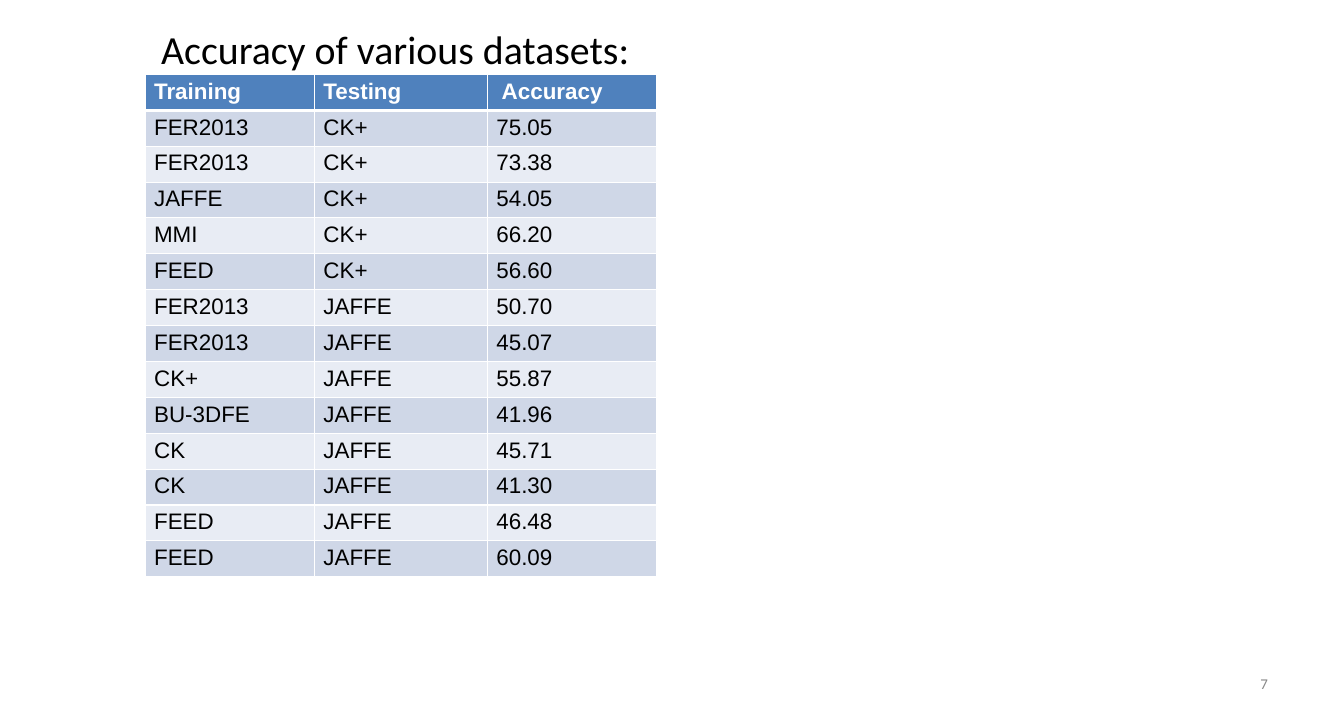
import pptx
import pptx.dml.color
import pptx.enum.text
import pptx.oxml
import pptx.oxml.ns
import pptx.util
from pptx.util import Inches

TITLE = "Accuracy of various datasets:"
PAGE_NUMBER = "7"
HEADER = ("Training", "Testing", " Accuracy")
RESULTS = [
    ("FER2013", "CK+", "75.05"),
    ("FER2013", "CK+", "73.38"),
    ("JAFFE", "CK+", "54.05"),
    ("MMI", "CK+", "66.20"),
    ("FEED", "CK+", "56.60"),
    ("FER2013", "JAFFE", "50.70"),
    ("FER2013", "JAFFE", "45.07"),
    ("CK+", "JAFFE", "55.87"),
    ("BU-3DFE", "JAFFE", "41.96"),
    ("CK", "JAFFE", "45.71"),
    ("CK", "JAFFE", "41.30"),
    ("FEED", "JAFFE", "46.48"),
    ("FEED", "JAFFE", "60.09"),
]
COLUMN_WIDTHS = (1.89, 1.93, 1.89)
ROW_HEIGHT = 0.38
HEADER_FILL = "4F81BD"
BAND_FILLS = ("E8ECF4", "CFD7E7")
WHITE, BLACK, GREY = "FFFFFF", "000000", "888888"
ALIGN = pptx.enum.text.PP_ALIGN


def color(hex_value):
    return pptx.dml.color.RGBColor.from_string(hex_value)


def write_text(frame, text, size, font="Arial", fill=BLACK, bold=False, align=ALIGN.LEFT):
    paragraph = frame.paragraphs[0]
    paragraph.alignment = align
    run = paragraph.add_run()
    run.text = text
    run.font.name = font
    run.font.size = pptx.util.Pt(size)
    run.font.bold = bold
    run.font.color.rgb = color(fill)


def add_text_box(slide, left, top, width, height, text, **text_format):
    shape = slide.shapes.add_textbox(Inches(left), Inches(top), Inches(width), Inches(height))
    frame = shape.text_frame
    frame.word_wrap = True
    frame.vertical_anchor = pptx.enum.text.MSO_ANCHOR.MIDDLE
    write_text(frame, text, **text_format)


def set_borders(cell, **widths):
    """Draw white borders; widths are points keyed by side, in the order L, R, T, B."""
    properties = cell._tc.get_or_add_tcPr()
    for side, width in widths.items():
        properties.append(pptx.oxml.parse_xml(
            f'<a:ln{side} {pptx.oxml.ns.nsdecls("a")} w="{pptx.util.Pt(width)}">'
            f'<a:solidFill><a:srgbClr val="{WHITE}"/></a:solidFill></a:ln{side}>'))


def add_accuracy_table(slide, left, top):
    rows = [HEADER, *RESULTS]
    table = slide.shapes.add_table(
        len(rows), len(HEADER), Inches(left), Inches(top),
        Inches(sum(COLUMN_WIDTHS)), Inches(ROW_HEIGHT * len(rows))).table
    table.horz_banding = False
    for column, width in zip(table.columns, COLUMN_WIDTHS):
        column.width = Inches(width)
    for row_index, values in enumerate(rows):
        table.rows[row_index].height = Inches(ROW_HEIGHT)
        is_header = row_index == 0
        for column_index, value in enumerate(values):
            cell = table.cell(row_index, column_index)
            set_borders(cell, L=1, R=1, T=3 if row_index == 1 else 1, B=3 if is_header else 1)
            cell.fill.solid()
            cell.fill.fore_color.rgb = color(HEADER_FILL if is_header else BAND_FILLS[row_index % 2])
            write_text(cell.text_frame, value, size=18, bold=is_header,
                       fill=WHITE if is_header else BLACK)


def main():
    presentation = pptx.Presentation()
    presentation.slide_width = Inches(15)
    presentation.slide_height = Inches(8)
    slide = presentation.slides.add_slide(presentation.slide_layouts[6])
    add_text_box(slide, 0.25, 0.33, 8.33, 0.42, TITLE,
                 size=32, font="Calibri", align=ALIGN.CENTER)
    add_accuracy_table(slide, 1.62, 0.83)
    add_text_box(slide, 10.75, 7.41, 3.5, 0.43, PAGE_NUMBER,
                 size=12, font="Calibri", fill=GREY, align=ALIGN.RIGHT)
    presentation.save("out.pptx")


if __name__ == "__main__":
    main()
